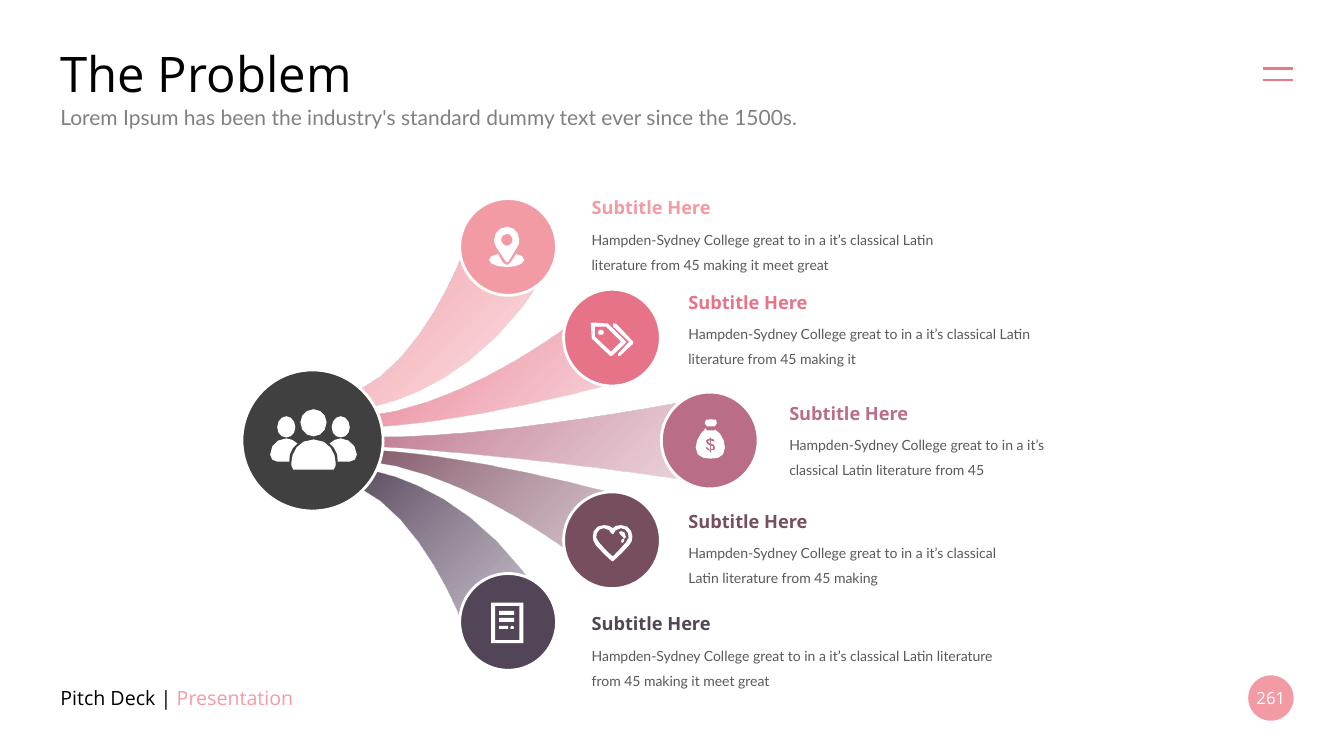
from math import dist, sqrt

from pptx import Presentation
from pptx.dml.color import RGBColor
from pptx.enum.shapes import MSO_CONNECTOR, MSO_SHAPE
from pptx.enum.text import MSO_ANCHOR as ANCHOR, MSO_AUTO_SIZE as AUTO, PP_ALIGN as ALIGN
from pptx.oxml import parse_xml
from pptx.oxml.ns import nsdecls, qn
from pptx.util import Pt

PX = 9144  # 100 px to the inch
MIRROR_SUM = 870  # upper and lower ribbons mirror each other: y + y' = 870
rgb = RGBColor.from_string
HEAD, BODY = "Open Sans", "Lato"
ROSE, PINK, MAUVE, PLUM, VIOLET = "F29BA5", "E77388", "BA6D87", "774E60", "524557"

prs = Presentation()
prs.slide_width, prs.slide_height = 1333 * PX, 750 * PX
s = prs.slides.add_slide(prs.slide_layouts[5])


def draw(path, mirror=False):
    """Fill a white outline given as M, L and C commands in px; long curves get more steps."""
    builder = None
    for contour in path.split("M")[1:]:
        pts = []
        for seg in ("L" + contour.replace("L", "|L").replace("C", "|C")).split("|"):
            n = [int(v) for v in seg[1:].split()]
            pairs = list(zip(n[::2], n[1::2]))
            if seg[0] == "L":
                pts += pairs
                continue
            ctrl = [pts[-1], *pairs]
            steps = max(1, round(0.7 * sqrt(dist(ctrl[0], ctrl[3]))))
            for step in range(1, steps + 1):
                t = step / steps
                w = ((1 - t) ** 3, 3 * t * (1 - t) ** 2, 3 * t * t * (1 - t), t ** 3)
                pts.append(tuple(sum(k * c[axis] for k, c in zip(w, ctrl)) for axis in (0, 1)))
        pts = [(x * PX, (MIRROR_SUM - y if mirror else y) * PX) for x, y in pts]
        if builder is None:
            builder = s.shapes.build_freeform(*pts[0], scale=1.0)
        else:
            builder.move_to(*pts[0])
        builder.add_line_segments(pts[1:], close=True)
    sp = builder.convert_to_shape()
    sp.shadow.inherit = False
    sp.line.fill.background()
    sp.fill.solid()
    sp.fill.fore_color.rgb = rgb("FFFFFF")
    return sp


def write(sp, runs, size, font, anchor=ANCHOR.TOP, align=ALIGN.LEFT, bold=False):
    """Put (text, colour) runs in one paragraph of a shape."""
    tf = sp.text_frame
    tf.word_wrap, tf.auto_size, tf.vertical_anchor = True, AUTO.NONE, anchor
    p = tf.paragraphs[0]
    p.alignment = align
    for text, color in runs:
        r = p.add_run()
        r.text = text
        r.font.size, r.font.name, r.font.bold = Pt(size), font, bold
        r.font.color.rgb = rgb(color)
    return p


# Heading, footer and menu mark
title = s.shapes.title
title.left, title.top, title.width, title.height = [v * PX for v in (50, 39, 1233, 66)]
write(title, [("The Problem", "000000")], 35, HEAD, ANCHOR.MIDDLE)
tagline = s.shapes.add_textbox(50 * PX, 99 * PX, 1233 * PX, 35 * PX)
write(tagline, [("Lorem Ipsum has been the industry's standard dummy text ever since the 1500s.", "808080")],
      15, BODY)
footer = s.shapes.add_textbox(50 * PX, 672 * PX, 329 * PX, 40 * PX)
write(footer, [("Pitch Deck | ", "000000"), ("Presentation", ROSE)], 14, HEAD, ANCHOR.MIDDLE)
for y in (68, 79):
    bar = s.shapes.add_connector(MSO_CONNECTOR.STRAIGHT, 1253 * PX, y * PX, 1282 * PX, y * PX)
    bar.line.color.rgb = rgb("ED7885")
    bar.line.width = Pt(1.5)
    bar._element.spPr.append(parse_xml(f"<a:effectLst {nsdecls('a')}/>"))

# Ribbons from the hub to each topic
inner = "M578 312 C578 312 445 420 331 413 L328 423 C328 423 407 433 613 379"
middle = "M686 397 C686 397 456 442 342 432 L342 441 C342 441 486 447 686 477"
outer = "M465 236 C465 236 417 380 331 395 L331 407 C331 407 454 415 543 268"
ribbons = [
    (inner, False, "F1ABB8", PINK),
    (inner, True, "B58E9F", PLUM),
    (middle, False, "D6A7B7", MAUVE),
    (outer, False, "F7C3C9", ROSE),
    (outer, True, "9A89A1", VIOLET),
]
for path, mirror, light, dark in ribbons:
    sp = draw(path, mirror)
    spPr = sp._element.spPr
    spPr.replace(spPr.find(qn("a:solidFill")), parse_xml(
        f'<a:gradFill {nsdecls("a")} rotWithShape="1"><a:gsLst>'
        f'<a:gs pos="0"><a:srgbClr val="{light}"><a:alpha val="50000"/></a:srgbClr></a:gs>'
        f'<a:gs pos="99000"><a:srgbClr val="{dark}"/></a:gs></a:gsLst>'
        '<a:path path="circle"><a:fillToRect l="100000" t="100000"/></a:path></a:gradFill>'))

# Hub, topic circles and page badge
circles = [
    (456, 197, 96, ROSE), (240, 367, 140, "404040"), (559, 287, 96, PINK), (656, 389, 96, MAUVE),
    (559, 488, 96, PLUM), (456, 569, 96, VIOLET), (1238, 670, 45, ROSE),
]
for x, y, size, color in circles:
    sp = s.shapes.add_shape(MSO_SHAPE.OVAL, x * PX, y * PX, size * PX, size * PX)
    sp.shadow.inherit = False
    sp.fill.solid()
    sp.fill.fore_color.rgb = rgb(color)
    sp.line.color.rgb = rgb("FFFFFF")
    sp.line.width = Pt(2)
badge = sp
badge.line.fill.background()
tf = badge.text_frame
tf.margin_left = tf.margin_right = tf.margin_top = tf.margin_bottom = 0
write(badge, [("261", "FFFFFF")], 12, HEAD, ANCHOR.MIDDLE, ALIGN.CENTER)

# Icons
people = (
    "M311 436 C327 436 333 450 333 459 L333 462 331 466 291 466 289 462 289 459 C289 449 296 436 311 436"
    "M338 435 C346 435 354 442 354 451 C354 455 351 458 347 458 L335 458"
    " C336 450 332 444 327 440 C330 437 334 435 338 435"
    "M284 435 C288 435 292 437 295 440 C290 444 286 450 287 458 L275 458"
    " C271 458 268 455 268 451 C268 442 275 435 284 435"
    "M338 413 C343 413 347 418 347 424 C347 430 343 434 338 434 C333 434 329 430 329 424 C329 418 333 413 338 413"
    "M284 413 C289 413 293 418 293 424 C293 430 289 434 284 434 C279 434 275 430 275 424 C275 418 279 413 284 413"
    "M311 406 C318 406 324 412 324 419 C324 427 318 433 311 433 C304 433 298 427 298 419 C298 412 304 406 311 406")
pin = (
    "M503 232 C505 232 507 233 508 236 C509 238 508 240 507 242 L503 244 500 243"
    " C498 242 497 240 497 238 C497 235 499 232 503 232"
    "M503 225 C496 225 490 231 490 238 C490 240 491 243 492 245 L502 260 504 260 513 245"
    " C515 243 515 240 515 238 C515 231 510 225 503 225"
    "M494 252 C488 253 485 255 485 258 C485 262 494 265 503 265 C511 265 520 262 520 258"
    " C520 255 517 253 512 252 L506 261 503 263 499 261")
tags = (
    "M621 339 L603 321 588 320 586 320 586 322 587 336 605 353 607 353 620 341"
    "M606 349 L590 334 590 324 601 324 616 339"
    "M598 328 L599 330 598 332 596 332 594 332 593 330 594 328 596 327"
    "M628 339 L628 341 615 353 613 353 613 351 624 339 608 324 608 321 611 321")
money_bag = (
    "M709 423 L711 420 C713 416 709 416 705 416 C702 416 697 416 699 420 L701 423"
    "M709 426 L709 427 701 427 700 425 C695 429 690 437 690 444"
    " C690 453 697 455 705 455 C713 455 719 453 719 444 C719 437 715 429 709 426"
    "M709 446 L705 447 705 449 704 449 704 447 C702 447 700 446 700 444"
    " L701 443 704 446 704 442 701 440 700 438 C700 437 701 435 704 435"
    " L704 434 705 434 705 435 C707 435 709 436 709 438 L707 438 705 437 705 440 708 441 709 443"
    "M702 438 L704 440 704 437"
    "M705 442 L705 446 707 445 707 443")
heart = (
    "M626 527 C624 523 621 521 616 521 C612 521 609 522 608 524 C606 522 603 521 599 521"
    " C594 521 591 523 589 527 C587 532 588 537 591 541 C599 550 606 556 606 556"
    " L608 557 609 556 C609 556 616 550 624 541 C628 537 628 532 626 527"
    "M621 538 C615 545 610 550 608 552 C605 550 600 545 594 538 C591 535 591 532 592 529"
    " C593 526 596 524 599 524 C604 524 606 528 606 529 L608 530 609 529"
    " C609 528 611 524 616 524 C619 524 622 526 623 529 C624 532 624 535 621 538"
    "M621 533 L619 535 618 533 C618 530 616 530 615 530 L614 528 616 527 C618 527 621 528 621 533"
    "M619 535 L619 537 617 539 616 537 617 535")
document = (
    "M487 598 L519 598 519 638 487 638"
    "M491 601 L515 601 515 635 491 635"
    "M495 621 L504 621 504 624 495 624"
    "M495 613 L510 613 510 617 495 617"
    "M495 606 L510 606 510 610 495 610"
    "M507 621 L509 621 510 623 509 624 507 624 506 623")
for icon in (people, pin, tags, money_bag, heart, document):
    draw(icon)

# Topic texts
topics = [
    (577, 190, 408, ROSE, " literature from 45 making it meet great"),
    (673, 284, 378, PINK, " literature from 45 making it"),
    (773, 394, 321, MAUVE, " literature from 45"),
    (673, 501, 354, PLUM, " literature from 45 making"),
    (577, 603, 426, VIOLET, " literature from 45 making it meet great"),
]
for x, y, width, color, ending in topics:
    subtitle = s.shapes.add_textbox(x * PX, y * PX, 216 * PX, 32 * PX)
    write(subtitle, [("Subtitle Here", color)], 13, HEAD, bold=True)
    detail = s.shapes.add_textbox(x * PX, (y + 26) * PX, width * PX, 57 * PX)
    text = "Hampden-Sydney College great to in a it’s classical Latin" + ending
    write(detail, [(text, "595959")], 10, BODY).line_spacing = Pt(18)

prs.save("out.pptx")
